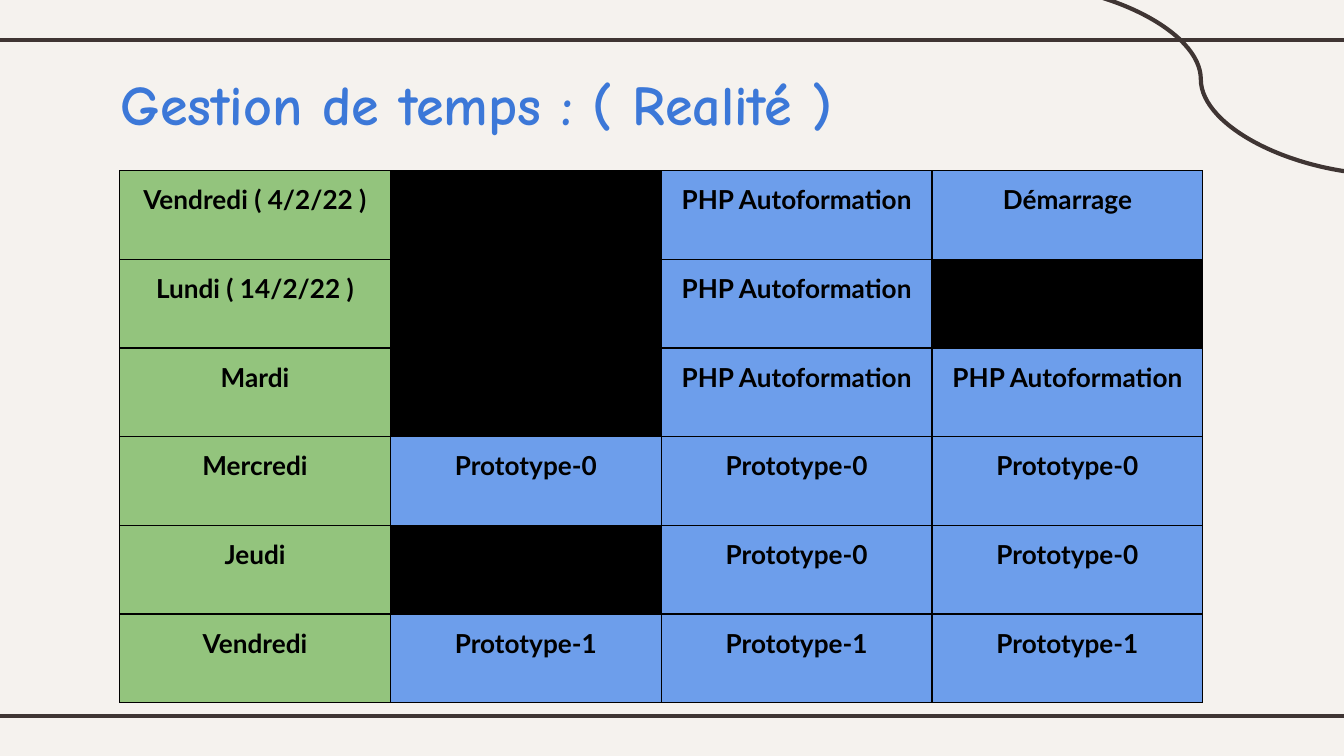
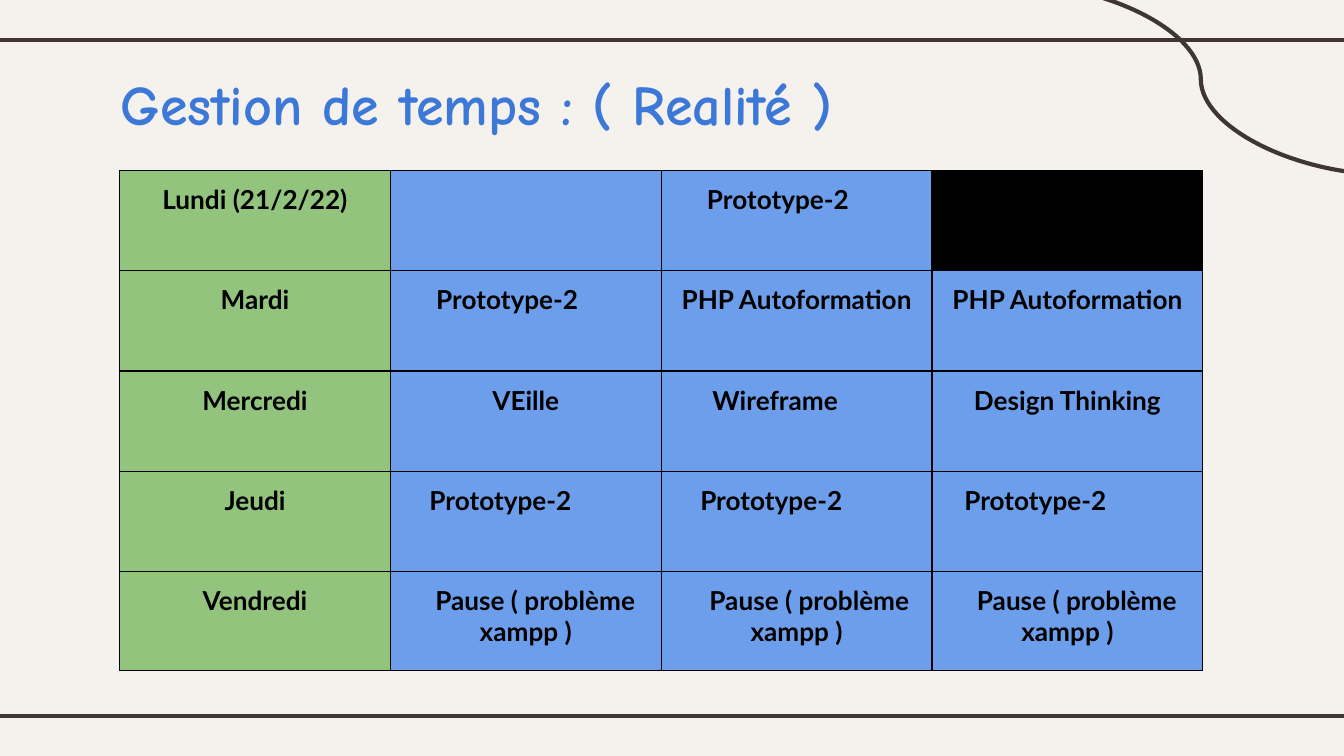
from dataclasses import dataclass

from lxml.etree import SubElement
from pptx import Presentation
from pptx.dml.color import RGBColor
from pptx.enum.shapes import MSO_CONNECTOR
from pptx.enum.text import MSO_ANCHOR, PP_ALIGN
from pptx.oxml.ns import qn
from pptx.util import Inches, Pt


@dataclass(frozen=True)
class Theme:
    """Colours, fonts and type sizes shared by the slides."""
    paper: str = "F5F2EE"
    rule: str = "3F3533"
    title: str = "3C78D8"
    day: str = "93C47D"
    task: str = "6D9EEB"
    black: str = "000000"
    title_font: str = "Comic Neue"
    body_font: str = "Lato"
    title_size: int = 30
    body_size: int = 14
    rule_width: float = 2.25
    border_width: float = 0.75


@dataclass(frozen=True)
class Task:
    """A table entry with its left margin or first-line indent in inches."""
    text: str
    margin: float = 0
    first_line: float = 0


THEME = Theme()
TITLE = "Gestion de temps : ( Realité )"
TABLE_WIDTH = 8.06
BLOCKED = None
FREE = Task("")
PHP = Task("PHP Autoformation")
START = Task("Démarrage")
PROTO_0 = Task("Prototype-0")
PROTO_1 = Task("Prototype-1")
PAUSE = Task("Pause ( problème xampp )", first_line=0.14)
PAUSE_WIDE = Task("Pause ( problème xampp )", first_line=0.19)


def proto_2(margin):
    """Return the left-aligned second prototype entry."""
    return Task("Prototype-2", margin)


FIRST_WEEKS = [
    ("Vendredi ( 4/2/22 )", BLOCKED, PHP, START),
    ("Lundi ( 14/2/22 )", BLOCKED, PHP, BLOCKED),
    ("Mardi", BLOCKED, PHP, PHP),
    ("Mercredi", PROTO_0, PROTO_0, PROTO_0),
    ("Jeudi", BLOCKED, PROTO_0, PROTO_0),
    ("Vendredi", PROTO_1, PROTO_1, PROTO_1),
]
LAST_WEEK = [
    ("Lundi (21/2/22)", FREE, proto_2(0.24), BLOCKED),
    ("Mardi", proto_2(0.24), PHP, PHP),
    ("Mercredi", Task("VEille"), Task("Wireframe", 0.28), Task("Design Thinking")),
    ("Jeudi", proto_2(0.19), proto_2(0.19), proto_2(0.14)),
    ("Vendredi", PAUSE, PAUSE_WIDE, PAUSE),
]


def rgb(colour):
    """Convert a hex string to a colour."""
    return RGBColor.from_string(colour)


def add_run(p, text, font, size, colour):
    """Add one bold run to a paragraph."""
    r = p.add_run()
    r.text = text
    r.font.name, r.font.size, r.font.bold = font, Pt(size), True
    r.font.color.rgb = rgb(colour)


def add_line(s, kind, x1, y1, x2, y2):
    """Draw one decorative line without a shadow."""
    line = s.shapes.add_connector(kind, Inches(x1), Inches(y1), Inches(x2), Inches(y2))
    line.line.color.rgb = rgb(THEME.rule)
    line.line.width = Pt(THEME.rule_width)
    SubElement(line._element.spPr, qn("a:effectLst"))


def add_title(s, text):
    """Place the slide title."""
    sp = s.shapes.add_textbox(Inches(0.8), Inches(0.42), Inches(7.78), Inches(0.63))
    tf = sp.text_frame
    tf.word_wrap = True
    tf.vertical_anchor = MSO_ANCHOR.TOP
    tf.margin_left = tf.margin_right = tf.margin_top = tf.margin_bottom = Inches(0.1)
    add_run(tf.paragraphs[0], text, THEME.title_font, THEME.title_size, THEME.title)


def add_borders(cell):
    """Outline a cell on its four sides."""
    tc_pr = cell._tc.get_or_add_tcPr()
    for side in ("a:lnL", "a:lnR", "a:lnT", "a:lnB"):
        ln = SubElement(tc_pr, qn(side), w=str(Pt(THEME.border_width)))
        fill = SubElement(ln, qn("a:solidFill"))
        SubElement(fill, qn("a:srgbClr"), val=THEME.black)


def fill_cell(cell, task, colour):
    """Colour a cell and write its entry."""
    cell.margin_left = cell.margin_right = Inches(0.1)
    cell.margin_top = cell.margin_bottom = Inches(0.1)
    add_borders(cell)
    cell.fill.solid()
    cell.fill.fore_color.rgb = rgb(colour)
    if not task or not task.text:
        return
    p = cell.text_frame.paragraphs[0]
    p.alignment = PP_ALIGN.LEFT if task.margin else PP_ALIGN.CENTER
    p_pr = p._p.get_or_add_pPr()
    p_pr.set("marL", str(Inches(task.margin)))
    p_pr.set("indent", str(Inches(task.first_line)))
    add_run(p, task.text, THEME.body_font, THEME.body_size, THEME.black)


def add_schedule(s, schedule, heights):
    """Build the table of days and tasks."""
    frame = s.shapes.add_table(len(schedule), len(schedule[0]), Inches(0.89), Inches(1.27),
                               Inches(TABLE_WIDTH), Inches(sum(heights)))
    table = frame.table
    table.first_row = table.horz_banding = False
    for i, ((day, *tasks), height) in enumerate(zip(schedule, heights)):
        table.rows[i].height = Inches(height)
        fill_cell(table.cell(i, 0), Task(day), THEME.day)
        for j, task in enumerate(tasks, 1):
            colour = THEME.black if task is BLOCKED else THEME.task
            fill_cell(table.cell(i, j), task, colour)


def add_slide(prs, schedule, heights):
    """Add a slide with its frame lines, title and schedule."""
    s = prs.slides.add_slide(prs.slide_layouts[6])
    s.background.fill.solid()
    s.background.fill.fore_color.rgb = rgb(THEME.paper)
    for y in (0.3, 5.33):
        add_line(s, MSO_CONNECTOR.STRAIGHT, -0.08, y, 10.08, y)
    add_line(s, MSO_CONNECTOR.CURVE, 7.53, -0.12, 10.34, 1.3)
    add_title(s, TITLE)
    add_schedule(s, schedule, heights)


def main():
    """Build and save the presentation."""
    prs = Presentation()
    prs.slide_width = Inches(10)
    prs.slide_height = Inches(10 * 9 / 16)
    add_slide(prs, FIRST_WEEKS, [0.66] * len(FIRST_WEEKS))
    add_slide(prs, LAST_WEEK, [0.74, 0.75, 0.75, 0.74, 0.74])
    prs.save("out.pptx")


if __name__ == "__main__":
    main()
